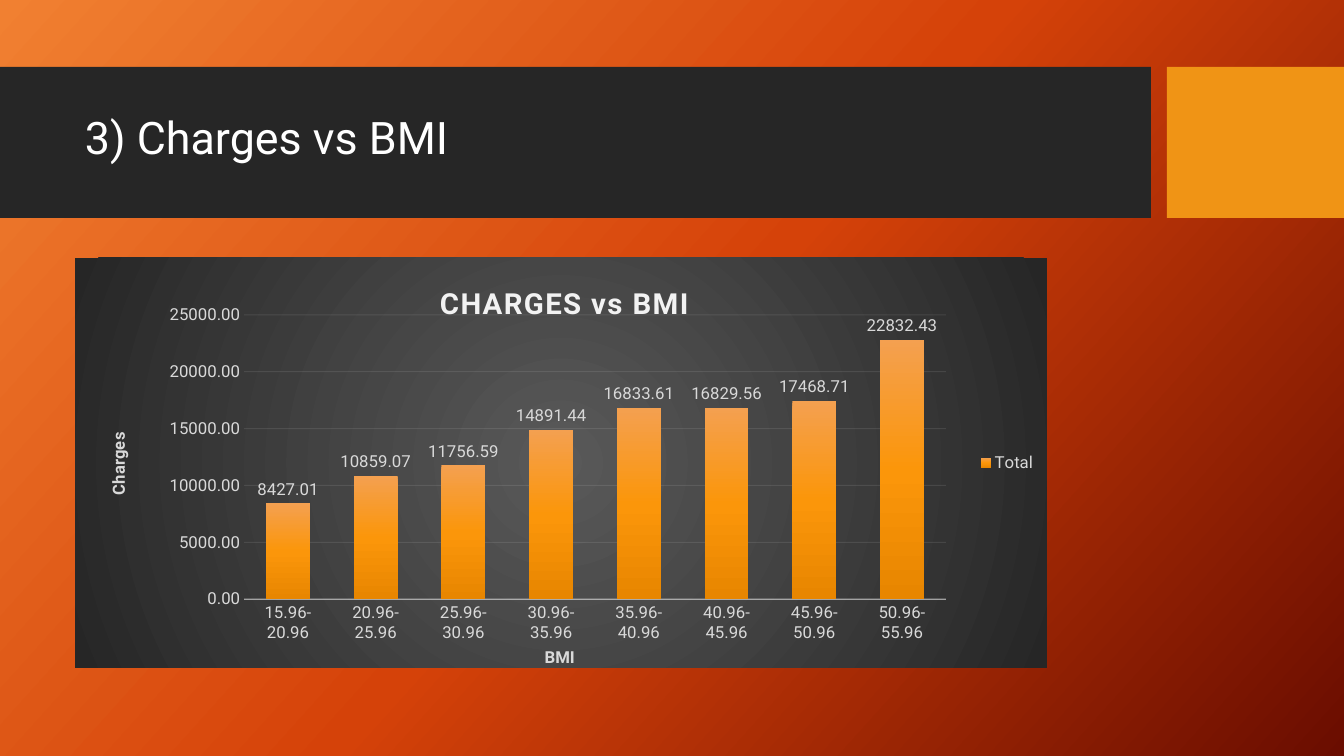
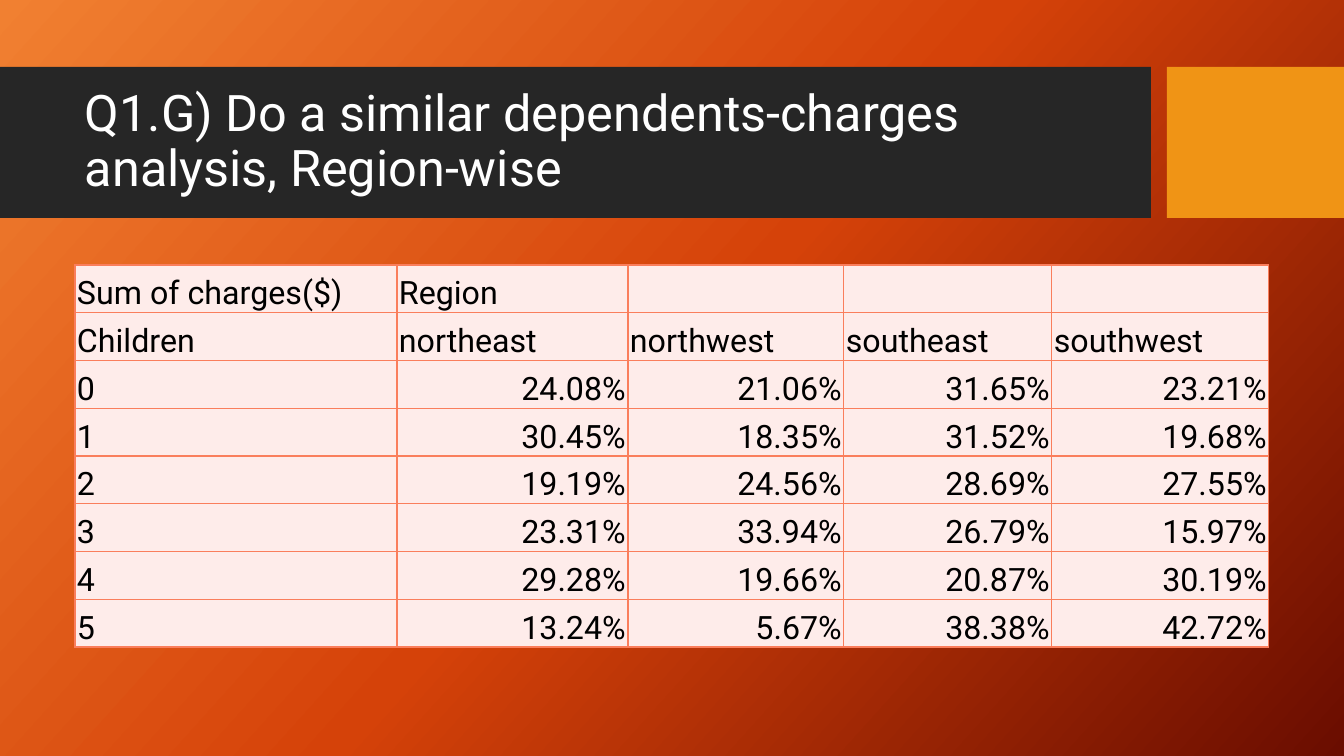
import lxml.etree
import pptx
import pptx.chart.data
import pptx.dml.color
import pptx.enum.chart
import pptx.enum.shapes
import pptx.enum.text
import pptx.oxml
import pptx.oxml.ns
import pptx.util

SLIDE_W, SLIDE_H = 1344, 756
EMU_PER_PX = 12192000 / SLIDE_W
FONT = "Roboto"
COLORS = {
    "band": "262626", "accent": "F09415", "title": "FFFFFF",
    "chart_text": "D9D9D9", "chart_title": "F2F2F2", "chart_line": "F2F2F2",
    "cell": "FEECEA", "cell_text": "000000", "cell_border": "FA7E5C",
}
BACKGROUND_STOPS = [(0, "F18031"), (50, "D54209"), (100, "6A0D00")]
CHART_STOPS = [(0, "595959"), (100, "262626")]
COLUMN_STOPS = [(0, "F4A050"), (50, "FB960A"), (100, "E88600")]

CHARGES_BY_BMI = {
    "15.96-20.96": 8427.01, "20.96-25.96": 10859.07,
    "25.96-30.96": 11756.59, "30.96-35.96": 14891.44,
    "35.96-40.96": 16833.61, "40.96-45.96": 16829.56,
    "45.96-50.96": 17468.71, "50.96-55.96": 22832.43,
}
REGION_SHARES = [
    ["Sum of charges($)", "Region", "", "", ""],
    ["Children", "northeast", "northwest", "southeast", "southwest"],
    ["0", "24.08%", "21.06%", "31.65%", "23.21%"],
    ["1", "30.45%", "18.35%", "31.52%", "19.68%"],
    ["2", "19.19%", "24.56%", "28.69%", "27.55%"],
    ["3", "23.31%", "33.94%", "26.79%", "15.97%"],
    ["4", "29.28%", "19.66%", "20.87%", "30.19%"],
    ["5", "13.24%", "5.67%", "38.38%", "42.72%"],
]
HEADER_ROWS = 2
REGION_COLUMN_WIDTHS = [322, 231, 216, 208, 217]


def px(length):
    return pptx.util.Emu(round(length * EMU_PER_PX))


def box_px(box):
    return [px(length) for length in box]


def rgb(name):
    return pptx.dml.color.RGBColor.from_string(COLORS[name])


def style_font(font, size, color, bold=False):
    font.name = FONT
    font.size = pptx.util.Pt(size)
    font.bold = bold
    font.color.rgb = rgb(color)


def gradient(stops, angle=None):
    """Return a linear gradient fill, or a circular one if no angle is given."""
    stop_xml = "".join(
        f'<a:gs pos="{position * 1000}"><a:srgbClr val="{color}"/></a:gs>'
        for position, color in stops)
    if angle is None:
        direction = ('<a:path path="circle"><a:fillToRect l="50000" t="50000" '
                     'r="50000" b="50000"/></a:path>')
    else:
        direction = f'<a:lin ang="{angle * 60000}" scaled="0"/>'
    return pptx.oxml.parse_xml(
        f'<a:gradFill {pptx.oxml.ns.nsdecls("a")} rotWithShape="1">'
        f'<a:gsLst>{stop_xml}</a:gsLst>{direction}</a:gradFill>')


def swap_solid_fill(solid, replacement):
    solid.getparent().replace(solid, replacement)


def set_background(master):
    master.background.fill.solid()
    solid = master.element.xpath(".//p:bgPr/a:solidFill")[0]
    swap_solid_fill(solid, gradient(BACKGROUND_STOPS, 42))


def add_block(slide, box, color):
    block = slide.shapes.add_shape(
        pptx.enum.shapes.MSO_SHAPE.RECTANGLE, *box_px(box))
    block.shadow.inherit = False
    block.fill.solid()
    block.fill.fore_color.rgb = rgb(color)
    block.line.fill.background()


def add_titled_slide(prs, title, size, title_height):
    """Add a slide with the dark title band and the accent block."""
    slide = prs.slides.add_slide(prs.slide_layouts[6])
    band_top, band_height = 67, 151
    add_block(slide, (0, band_top, 1151, band_height), "band")
    add_block(slide, (1167, band_top, SLIDE_W - 1167, band_height), "accent")
    heading = slide.shapes.add_textbox(
        *box_px((75, band_top + 16, 1059, title_height)))
    frame = heading.text_frame
    frame.word_wrap = True
    frame.vertical_anchor = pptx.enum.text.MSO_ANCHOR.MIDDLE
    frame.text = title
    paragraph = frame.paragraphs[0]
    paragraph.line_spacing = 0.9
    style_font(paragraph.runs[0].font, size, "title")
    return slide


def set_layout(element, index, **fractions):
    """Place a chart part by fractions of the chart's size."""
    for previous in element.xpath("c:layout"):
        element.remove(previous)
    target = '<c:layoutTarget val="inner"/>' if "w" in fractions else ""
    modes = "".join(f'<c:{key}Mode val="edge"/>' for key in "xy")
    values = "".join(f'<c:{key} val="{value}"/>'
                     for key, value in fractions.items())
    element.insert(index, pptx.oxml.parse_xml(
        f'<c:layout {pptx.oxml.ns.nsdecls("c")}><c:manualLayout>'
        f'{target}{modes}{values}</c:manualLayout></c:layout>'))


def set_chart_title(owner, text, size, color):
    frame = (owner.chart_title if hasattr(owner, "chart_title")
             else owner.axis_title).text_frame
    frame.text = text
    run = frame.paragraphs[0].runs[0]
    style_font(run.font, size, color, bold=True)
    return frame, run


def style_line(line, width, colors, opacity):
    line.color.rgb = rgb("chart_line")
    line.width = pptx.util.Pt(width)
    for color in colors():
        alpha = lxml.etree.SubElement(color, pptx.oxml.ns.qn("a:alpha"))
        alpha.set("val", str(opacity * 1000))


def style_axes(chart):
    root = chart.element
    bmi_axis, charges_axis = chart.category_axis, chart.value_axis
    for axis, title in ((bmi_axis, "BMI"), (charges_axis, "Charges")):
        axis.major_tick_mark = pptx.enum.chart.XL_TICK_MARK.NONE
        style_font(axis.tick_labels.font, 12, "chart_text")
        frame, _ = set_chart_title(axis, title, 12, "chart_text")
    frame._txBody.bodyPr.set("rot", "-5400000")
    frame._txBody.bodyPr.set("vert", "horz")
    style_line(bmi_axis.format.line, 1,
               lambda: root.xpath(".//c:catAx/c:spPr/a:ln//a:srgbClr"), 54)
    charges_axis.minimum_scale, charges_axis.maximum_scale = 0, 25000
    charges_axis.major_unit = 5000
    charges_axis.tick_labels.number_format = "0.00"
    charges_axis.tick_labels.number_format_is_linked = False
    charges_axis.format.line.fill.background()
    charges_axis.has_major_gridlines = True
    style_line(charges_axis.major_gridlines.format.line, 0.75,
               lambda: root.xpath(".//c:majorGridlines//a:srgbClr"), 10)


def style_columns(chart):
    columns = chart.plots[0]
    columns.gap_width, columns.overlap = 100, -24
    columns.vary_by_categories = False
    total = columns.series[0]
    total.invert_if_negative = False
    total.format.fill.solid()
    solid = chart.element.xpath(".//c:ser/c:spPr/a:solidFill")[0]
    swap_solid_fill(solid, gradient(COLUMN_STOPS, 90))
    columns.has_data_labels = True
    labels = columns.data_labels
    labels.show_value = True
    labels.number_format, labels.number_format_is_linked = "0.00", False
    labels.position = pptx.enum.chart.XL_LABEL_POSITION.OUTSIDE_END
    style_font(labels.font, 12, "chart_text")


def add_charges_chart(slide, box):
    charges = pptx.chart.data.CategoryChartData(number_format="0.00")
    charges.categories = list(CHARGES_BY_BMI)
    charges.add_series("Total", list(CHARGES_BY_BMI.values()))
    chart = slide.shapes.add_chart(
        pptx.enum.chart.XL_CHART_TYPE.COLUMN_CLUSTERED,
        *box_px(box), charges).chart
    style_font(chart.font, 10, "title")
    _, run = set_chart_title(chart, "CHARGES vs BMI", 21, "chart_title")
    run.font._element.set("spc", "100")
    chart.has_legend = True
    chart.legend.position = pptx.enum.chart.XL_LEGEND_POSITION.RIGHT
    chart.legend.include_in_layout = False
    style_font(chart.legend.font, 12, "chart_text")
    style_axes(chart)
    style_columns(chart)

    root = chart.element
    for query, place in (("c:chart/c:title", {"x": 0.37, "y": 0.05}),
                         (".//c:catAx/c:title", {"x": 0.48, "y": 0.94}),
                         (".//c:valAx/c:title", {"x": 0.03, "y": 0.42})):
        set_layout(root.xpath(query)[0], 1, **place)
    set_layout(root.xpath("c:chart/c:plotArea")[0], 0,
               x=0.174, y=0.139, w=0.722, h=0.694)
    panel = pptx.oxml.parse_xml(
        f'<c:spPr {pptx.oxml.ns.nsdecls("c", "a")}>'
        '<a:ln><a:noFill/></a:ln></c:spPr>')
    panel.insert(0, gradient(CHART_STOPS))
    root.xpath("c:chart")[0].addnext(panel)


def style_cell(cell, text, is_share):
    cell.text = text
    cell.vertical_anchor = pptx.enum.text.MSO_ANCHOR.BOTTOM
    cell.margin_left = cell.margin_right = cell.margin_top = px(2)
    cell.margin_bottom = 0
    cell.fill.solid()
    cell.fill.fore_color.rgb = rgb("cell")
    paragraph = cell.text_frame.paragraphs[0]
    if is_share:
        paragraph.alignment = pptx.enum.text.PP_ALIGN.RIGHT
    for run in paragraph.runs:
        style_font(run.font, 23, "cell_text")
    properties = cell._tc.get_or_add_tcPr()
    for index, side in enumerate("LRTB"):
        properties.insert(index, pptx.oxml.parse_xml(
            f'<a:ln{side} {pptx.oxml.ns.nsdecls("a")} w="12700"><a:solidFill>'
            f'<a:srgbClr val="{COLORS["cell_border"]}"/>'
            f'</a:solidFill></a:ln{side}>'))


def add_region_table(slide, box):
    row_count = len(REGION_SHARES)
    table = slide.shapes.add_table(
        row_count, len(REGION_COLUMN_WIDTHS), *box_px(box)).table
    table.first_row = table.horz_banding = False
    for column, width in zip(table.columns, REGION_COLUMN_WIDTHS):
        column.width = px(width)
    for r, texts in enumerate(REGION_SHARES):
        table.rows[r].height = px(box[3] / row_count)
        for c, text in enumerate(texts):
            style_cell(table.cell(r, c), text, r >= HEADER_ROWS and c > 0)


def main():
    prs = pptx.Presentation()
    prs.slide_width, prs.slide_height = px(SLIDE_W), px(SLIDE_H)
    set_background(prs.slide_master)
    bmi_slide = add_titled_slide(prs, "3) Charges vs BMI", 32, 113)
    add_charges_chart(bmi_slide, (75, 258, 972, 415))
    region_slide = add_titled_slide(
        prs, "Q1.G) Do a similar dependents-charges analysis, Region-wise",
        36, 119)
    add_region_table(region_slide, (75, 265, sum(REGION_COLUMN_WIDTHS), 382))
    prs.save("out.pptx")


if __name__ == "__main__":
    main()
